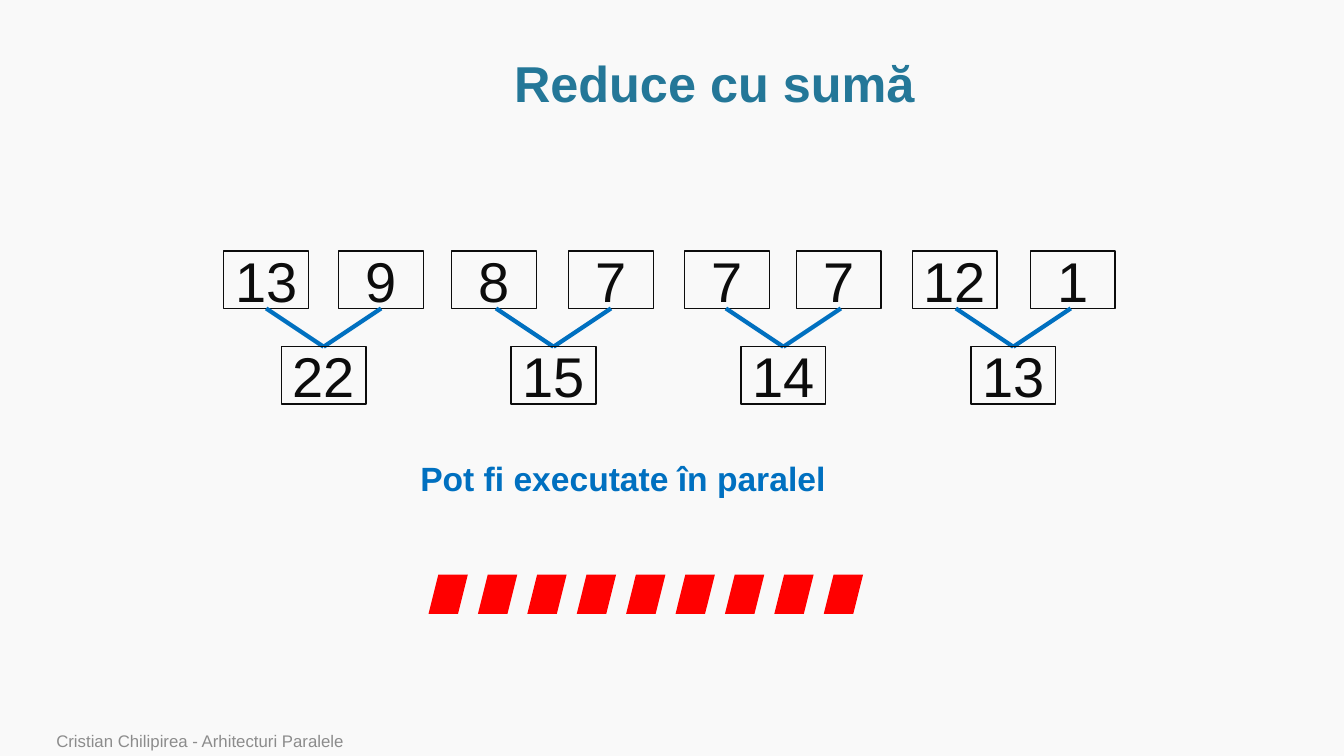
from dataclasses import dataclass

from pptx import Presentation
from pptx.dml.color import RGBColor
from pptx.enum.shapes import MSO_CONNECTOR as Connector, MSO_SHAPE as Shape
from pptx.enum.text import MSO_ANCHOR as Anchor, PP_ALIGN as Align
from pptx.oxml.ns import qn
from pptx.slide import Slide
from pptx.text.text import TextFrame
from pptx.util import Inches, Pt
from lxml.etree import SubElement

COLORS = {
    "background": "F9F9F9",
    "title": "247798",
    "ink": "0C0C0C",
    "accent": "0070C0",
    "task": "FF0000",
    "footer": "8C8C8C",
}
BOX_WIDTH, BOX_HEIGHT = 0.84, 0.57
INPUT_TOP, SUM_TOP = 2.49, 3.44
FIRST_SUM_CENTER, SUM_STEP, BRANCH_REACH = 3.21, 2.28, 0.57
TASK_COUNT, TASK_LEFT, TASK_TOP, TASK_STEP, TASK_SIZE = 9, 4.25, 5.7, 0.49, 0.39


@dataclass(frozen=True)
class Number:
    """A boxed number and the left edge of its box in inches."""
    value: int
    left: float


@dataclass(frozen=True)
class Reduction:
    """Two neighbouring inputs that are added together."""
    first: Number
    second: Number


REDUCTIONS = (
    Reduction(Number(13, 2.22), Number(9, 3.36)),
    Reduction(Number(8, 4.48), Number(7, 5.64)),
    Reduction(Number(7, 6.79), Number(7, 7.9)),
    Reduction(Number(12, 9.05), Number(1, 10.22)),
)


def color(name: str) -> RGBColor:
    """Look up a named colour."""
    return RGBColor.from_string(COLORS[name])


def write(frame: TextFrame, text: str, *, size: int, ink: str, bold: bool = False,
          align: Align = Align.LEFT, anchor: Anchor = Anchor.TOP,
          wrap: bool = True, spacing: float = 1.0) -> None:
    """Fill a text frame with one formatted paragraph."""
    frame.word_wrap = wrap
    frame.vertical_anchor = anchor
    paragraph = frame.paragraphs[0]
    paragraph.alignment = align
    paragraph.line_spacing = spacing
    run = paragraph.add_run()
    run.text = text
    run.font.name = "Arial"
    run.font.size = Pt(size)
    run.font.bold = bold
    run.font.color.rgb = color(ink)


def draw_number(slide: Slide, number: Number, top: float) -> None:
    """Draw a number in an outlined box."""
    box = slide.shapes.add_shape(Shape.RECTANGLE, Inches(number.left), Inches(top),
                                 Inches(BOX_WIDTH), Inches(BOX_HEIGHT))
    box.shadow.inherit = False
    box.fill.background()
    box.line.color.rgb = color("ink")
    box.line.width = Pt(1)
    write(box.text_frame, str(number.value), size=40, ink="ink",
          align=Align.CENTER, anchor=Anchor.MIDDLE)


def draw_branch(slide: Slide, start: float, end: float) -> None:
    """Draw a line from an input down to its sum."""
    branch = slide.shapes.add_connector(
        Connector.STRAIGHT, Inches(start), Inches(INPUT_TOP + BOX_HEIGHT),
        Inches(end), Inches(SUM_TOP))
    branch.line.color.rgb = color("accent")
    branch.line.width = Pt(3)
    SubElement(branch._element.spPr, qn("a:effectLst"))


def draw_reduction(slide: Slide, reduction: Reduction, center: float) -> None:
    """Draw two inputs, their sum and the lines between them."""
    pair = (reduction.first, reduction.second)
    for number, side in zip(pair, (-1, 1)):
        draw_number(slide, number, INPUT_TOP)
        draw_branch(slide, center + side * BRANCH_REACH, center)
    total = sum(number.value for number in pair)
    draw_number(slide, Number(total, center - BOX_WIDTH / 2), SUM_TOP)


def draw_task(slide: Slide, left: float) -> None:
    """Draw one slanted task marker."""
    task = slide.shapes.add_shape(Shape.PARALLELOGRAM, Inches(left), Inches(TASK_TOP),
                                  Inches(TASK_SIZE), Inches(TASK_SIZE))
    task.shadow.inherit = False
    task.fill.solid()
    task.fill.fore_color.rgb = color("task")
    task.line.fill.background()


def main() -> None:
    """Build and save the slide."""
    deck = Presentation()
    deck.slide_width, deck.slide_height = Inches(13.33), Inches(7.5)
    slide = deck.slides.add_slide(deck.slide_layouts[5])
    slide.background.fill.solid()
    slide.background.fill.fore_color.rgb = color("background")

    title = slide.shapes.title
    title.left, title.top = Inches(1.14), Inches(0.51)
    title.width, title.height = Inches(11.89), Inches(0.69)
    write(title.text_frame, "Reduce cu sumă", size=36, ink="title", bold=True,
          align=Align.CENTER, anchor=Anchor.MIDDLE, spacing=0.9)

    for index, reduction in enumerate(REDUCTIONS):
        draw_reduction(slide, reduction, FIRST_SUM_CENTER + index * SUM_STEP)

    caption = slide.shapes.add_textbox(Inches(4.07), Inches(4.49), Inches(4.26), Inches(0.5))
    write(caption.text_frame, "Pot fi executate în paralel", size=24, ink="accent",
          bold=True, wrap=False)

    for index in range(TASK_COUNT):
        draw_task(slide, TASK_LEFT + index * TASK_STEP)

    footer = slide.shapes.add_textbox(Inches(0.46), Inches(7.22), Inches(9.82), Inches(0.28))
    write(footer.text_frame, "Cristian Chilipirea - Arhitecturi Paralele", size=12,
          ink="footer", anchor=Anchor.BOTTOM)

    deck.save("out.pptx")


if __name__ == "__main__":
    main()
